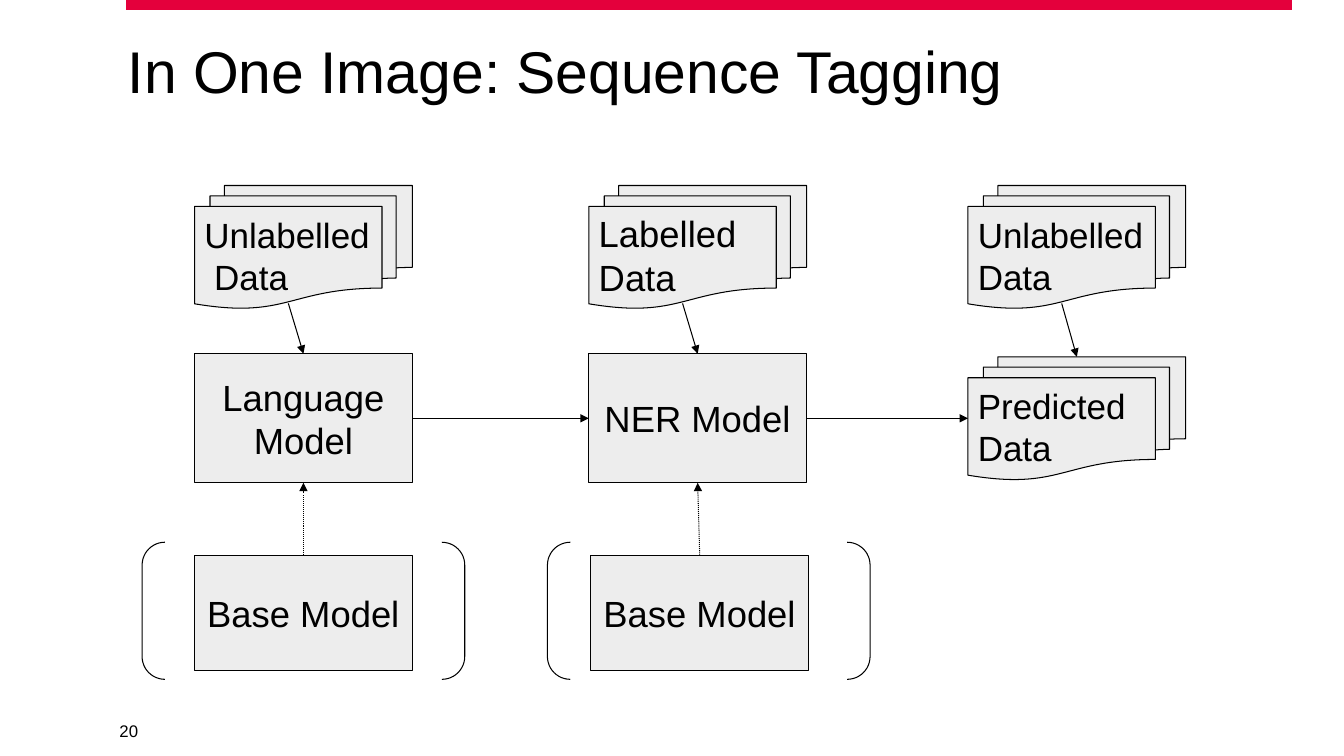
"""Build the sequence tagging overview slide."""
from lxml import etree
from pptx import Presentation
from pptx.dml.color import RGBColor
from pptx.enum import dml, shapes, text
from pptx.oxml.ns import qn
from pptx.util import Inches, Pt

THEME = {
    "font": "Arial",
    "ink": RGBColor.from_string("000000"),
    "fill": RGBColor.from_string("EDEDED"),
    "accent": RGBColor.from_string("E4003C"),
    "title": 42, "model": 26, "data": 25, "number": 12,
    "line": 0.75, "bar": 7.5,
}
TITLE = "In One Image: Sequence Tagging"
NUMBER = "20"
COL_W = 2.16
COLS = {"language": 1.93, "ner": 5.84, "output": 9.6}
BASE_X = 5.86
MODEL_Y, MODEL_H = 3.51, 1.28
DATA_Y, PREDICTED_Y, DATA_H = 1.84, 3.54, 1.22
BASE_Y, BASE_H = 5.51, 1.14
BRACKET_Y, BRACKET_W, BRACKET_H = 5.38, 3.2, 1.36
FLOW_Y = 4.15

MODELS = [
    ("Language Model", COLS["language"], MODEL_Y, MODEL_H),
    ("NER Model", COLS["ner"], MODEL_Y, MODEL_H),
    ("Base Model", COLS["language"], BASE_Y, BASE_H),
    ("Base Model", BASE_X, BASE_Y, BASE_H),
]
DOCUMENTS = [
    ("Unlabelled  Data", COLS["language"], DATA_Y, THEME["data"]),
    ("Labelled Data", COLS["ner"], DATA_Y, THEME["model"]),
    ("Unlabelled Data", COLS["output"], DATA_Y, THEME["data"]),
    ("Predicted Data", COLS["output"], PREDICTED_Y, THEME["data"]),
]
BRACKETS = [1.41, 5.43]
FEEDS = [("language", MODEL_Y), ("ner", MODEL_Y), ("output", PREDICTED_Y)]
FLOWS = [("language", "ner"), ("ner", "output")]
SUPPORTS = [(COLS["language"], COLS["language"]), (BASE_X, COLS["ner"])]

prs = Presentation()
prs.slide_width, prs.slide_height = Inches(13.33), Inches(7.5)
s = prs.slides.add_slide(prs.slide_layouts[6])


def write(sp, words, size, align, anchor, insets):
    tf = sp.text_frame
    tf.word_wrap = True
    tf.vertical_anchor = anchor
    tf.margin_left, tf.margin_top, tf.margin_right, tf.margin_bottom = map(Inches, insets)
    tf.text = words
    p = tf.paragraphs[0]
    p.alignment = align
    p.font.name, p.font.size = THEME["font"], Pt(size)
    p.font.color.rgb = THEME["ink"]
    return p


def add_box(kind, x, y, w, h, filled=True):
    sp = s.shapes.add_shape(kind, Inches(x), Inches(y), Inches(w), Inches(h))
    sp.shadow.inherit = False
    if filled:
        sp.fill.solid()
        sp.fill.fore_color.rgb = THEME["fill"]
    else:
        sp.fill.background()
    sp.line.color.rgb = THEME["ink"]
    sp.line.width = Pt(THEME["line"])
    return sp


def add_text(words, x, y, w, h, *style):
    sp = s.shapes.add_textbox(Inches(x), Inches(y), Inches(w), Inches(h))
    return write(sp, words, *style)


def add_line(start, end, color=THEME["ink"], width=THEME["line"], arrow=True, dotted=False):
    cx = s.shapes.add_connector(shapes.MSO_CONNECTOR.STRAIGHT, *map(Inches, start + end))
    cx.line.color.rgb = color
    cx.line.width = Pt(width)
    if dotted:
        cx.line.dash_style = dml.MSO_LINE.ROUND_DOT
    if arrow:
        etree.SubElement(cx.line._get_or_add_ln(), qn("a:tailEnd"), type="triangle")
    etree.SubElement(cx._element.spPr, qn("a:effectLst"))


LEFT, CENTER, RIGHT = text.PP_ALIGN.LEFT, text.PP_ALIGN.CENTER, text.PP_ALIGN.RIGHT
TOP, MIDDLE = text.MSO_ANCHOR.TOP, text.MSO_ANCHOR.MIDDLE
INSETS = (0.1,) * 4

add_line((1.25, 0.05), (12.81, 0.05), THEME["accent"], THEME["bar"], arrow=False)
add_text(NUMBER, 1, 7.05, 0.41, 0.4, THEME["number"], RIGHT, MIDDLE, (0.04,) * 4)
p = add_text(TITLE, 1.17, 0.32, 11.5, 0.82, THEME["title"], LEFT, TOP, (0.1, 0.1, 0.1, 0.05))
p.line_spacing = 0.9

for x in BRACKETS:
    add_box(shapes.MSO_SHAPE.DOUBLE_BRACKET, x, BRACKET_Y, BRACKET_W, BRACKET_H, filled=False)
for words, x, y, h in MODELS:
    sp = add_box(shapes.MSO_SHAPE.FLOWCHART_PROCESS, x, y, COL_W, h)
    write(sp, words, THEME["model"], CENTER, MIDDLE, INSETS)
for words, x, y, size in DOCUMENTS:
    sp = add_box(shapes.MSO_SHAPE.FLOWCHART_MULTIDOCUMENT, x, y, COL_W, DATA_H)
    write(sp, words, size, LEFT, MIDDLE, INSETS)

for col, y in FEEDS:
    x = COLS[col]
    add_line((x + 0.93, DATA_Y + 1.17), (x + COL_W / 2, y))
for source, target in FLOWS:
    add_line((COLS[source] + COL_W, FLOW_Y), (COLS[target], FLOW_Y))
for base_x, model_x in SUPPORTS:
    add_line((base_x + COL_W / 2, BASE_Y), (model_x + COL_W / 2, MODEL_Y + MODEL_H), dotted=True)

prs.save("out.pptx")
